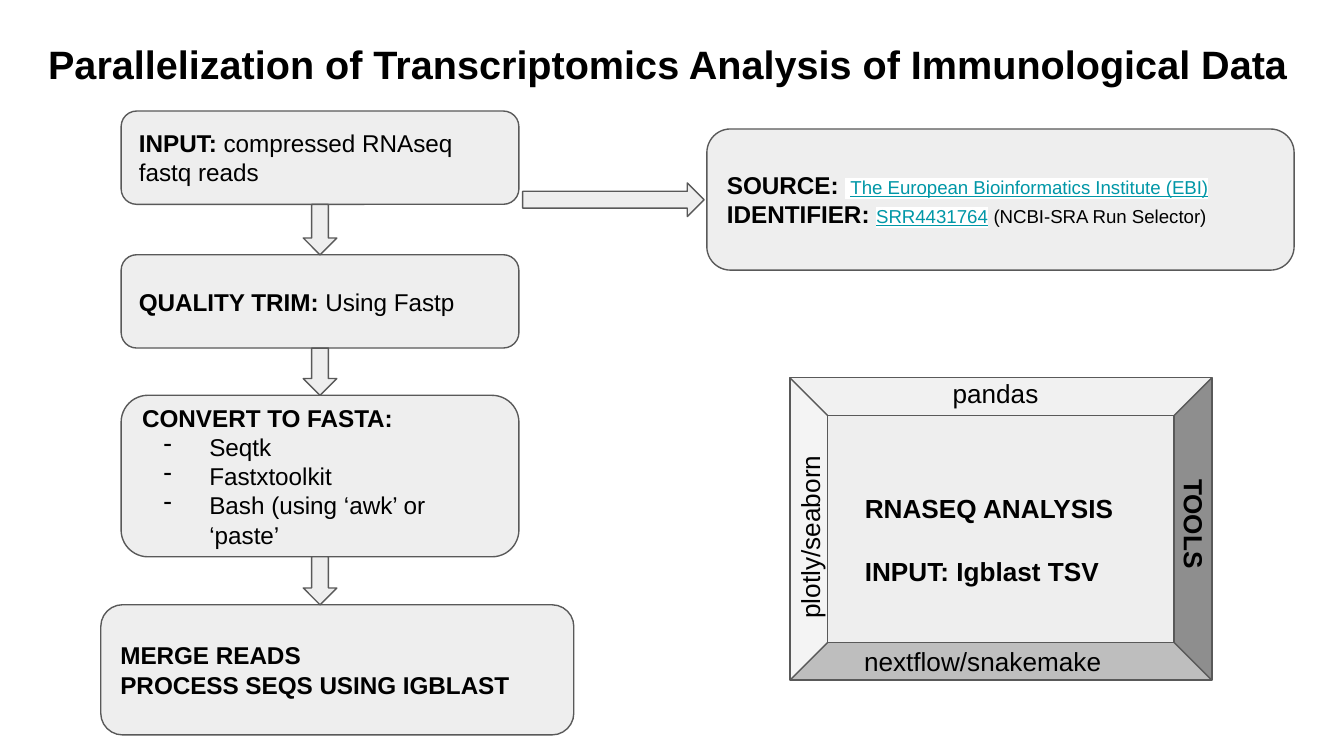
from lxml import etree
from pptx import Presentation
from pptx.dml.color import RGBColor
from pptx.enum import shapes, text
from pptx.oxml.ns import qn
from pptx.util import Pt

COLORS = {"ink": "000000", "panel": "EEEEEE", "outline": "595959",
          "link": "0097A7", "soft": "333333", "marker": "FFFFFF"}
INSET = 7.2
KIND = shapes.MSO_SHAPE


def rgb(name):
    return RGBColor.from_string(COLORS[name])


def add_run(paragraph, words, size=13, bold=False, color="ink", underline=False, marked=False):
    run = paragraph.add_run()
    run.text = words
    font = run.font
    font.name, font.size, font.bold = "Arial", Pt(size), bold
    font.color.rgb = rgb(color)
    if underline:
        font.underline = True
    if marked:
        highlight = etree.Element(qn("a:highlight"))
        etree.SubElement(highlight, qn("a:srgbClr"), val=COLORS["marker"])
        font.fill._xPr.find(qn("a:solidFill")).addnext(highlight)


def add_dash(paragraph):
    properties = paragraph._p.get_or_add_pPr()
    properties.set("marL", str(Pt(36)))
    properties.set("indent", str(Pt(-24.5)))
    etree.SubElement(properties, qn("a:buChar"), char="-")


def write(shape, lines, anchor=text.MSO_ANCHOR.TOP, dashed_from=None, gap=0):
    """Fill a shape with lines, each a list of (words, run options)."""
    frame = shape.text_frame
    frame.word_wrap = True
    frame.vertical_anchor = anchor
    frame.margin_left = frame.margin_right = Pt(INSET)
    frame.margin_top = frame.margin_bottom = Pt(INSET)
    for index, line in enumerate(lines):
        paragraph = frame.paragraphs[0] if index == 0 else frame.add_paragraph()
        paragraph.alignment = text.PP_ALIGN.LEFT
        if index and gap:
            paragraph.space_before = Pt(gap)
        if dashed_from is not None and index >= dashed_from:
            add_dash(paragraph)
        for words, options in line:
            add_run(paragraph, words, **options)


def add_panel(slide, kind, box):
    panel = slide.shapes.add_shape(kind, *map(Pt, box))
    panel.shadow.inherit = False
    panel.fill.solid()
    panel.fill.fore_color.rgb = rgb("panel")
    panel.line.color.rgb = rgb("outline")
    panel.line.width = Pt(0.75)
    return panel


def add_label(slide, box, lines, rotation=0, gap=0):
    label = slide.shapes.add_textbox(*map(Pt, box))
    label.rotation = rotation
    write(label, lines, gap=gap)


def add_card(slide, box, lines, dashed_from=None):
    card = add_panel(slide, KIND.ROUNDED_RECTANGLE, box)
    write(card, lines, text.MSO_ANCHOR.MIDDLE, dashed_from)


def add_title(slide, box):
    heading = "Parallelization of Transcriptomics Analysis of Immunological Data"
    add_label(slide, box, [[(heading, {"size": 21.2, "bold": True})]])


def add_pipeline(slide, box):
    """Stack the steps down the box, with an arrow filling each gap."""
    left, top, width, _ = box
    bold = {"bold": True}
    tools = ["Seqtk", "Fastxtoolkit", "Bash (using ‘awk’ or ‘paste’"]
    # offset from top, height, extra width, lines, first dashed line
    steps = [
        (0, 50, 0, [[("INPUT:", bold), (" compressed RNAseq fastq reads", {})]], None),
        (77, 50, 0, [[("QUALITY TRIM:", bold), (" Using Fastp", {})]], None),
        (152.3, 86.5, 0,
         [[("CONVERT TO FASTA:", bold)]] + [[(tool, {})] for tool in tools], 1),
        (264.5, 69.7, 40.3,
         [[("MERGE READS", bold)], [("PROCESS SEQS USING IGBLAST", bold)]], None),
    ]
    for offset, height, extra, lines, dashed_from in steps:
        overhang = 10.9 if extra else 0
        add_card(slide, (left - overhang, top + offset, width + extra, height),
                 lines, dashed_from)
    arrow_width = 18
    for step, following in zip(steps, steps[1:]):
        end = step[0] + step[1]
        add_panel(slide, KIND.DOWN_ARROW,
                  (left + (width - arrow_width) / 2, top + end,
                   arrow_width, following[0] - end))


def add_source(slide, box):
    left, top, _, _ = box
    bold = {"bold": True}
    link = {"size": 10, "color": "link", "underline": True, "marked": True}
    add_panel(slide, KIND.RIGHT_ARROW, (left - 98.7, top + 28.9, 97.2, 18))
    add_card(slide, box, [
        [("SOURCE: ", bold), (" ", {"size": 10, "color": "soft", "marked": True}),
         ("The European Bioinformatics Institute (EBI)", link)],
        [("IDENTIFIER: ", bold), ("SRR4431764", link), (" ", {"size": 11, "bold": True}),
         ("(NCBI-SRA Run Selector)", {"size": 10})],
    ])


def add_analysis(slide, box):
    """Bevelled frame with the analysis inside and a tool on each rim."""
    left, top, _, _ = box
    plain, bold = {"size": 14}, {"size": 14, "bold": True}
    add_panel(slide, KIND.BEVEL, box)
    labels = [
        ((33, 54, 158.4, 54.7), ["RNASEQ ANALYSIS", "INPUT: Igblast TSV"], bold, 0),
        ((80, -7.2, 152.6, 14.4), ["pandas"], plain, 0),
        ((-59.8, 56.2, 134.6, 25.2), ["plotly/seaborn"], plain, 270),
        ((32.6, 136, 175, 19.4), ["nextflow/snakemake"], plain, 0),
        ((189.4, 72, 67.7, 18), ["TOOLS"], bold, 90),
    ]
    for (x, y, width, height), lines, style, rotation in labels:
        add_label(slide, (left + x, top + y, width, height),
                  [[(line, style)] for line in lines], rotation, gap=17)


def main():
    deck = Presentation()
    deck.slide_width, deck.slide_height = Pt(720), Pt(405)
    slide = deck.slides.add_slide(deck.slide_layouts[6])
    add_title(slide, (18.7, 14.4, 720, 45.4))
    add_pipeline(slide, (64.9, 59.5, 213.1, 334.2))
    add_source(slide, (378.7, 69.1, 314.6, 75.6))
    add_analysis(slide, (423.2, 202.4, 226, 162))
    deck.save("out.pptx")


if __name__ == "__main__":
    main()
